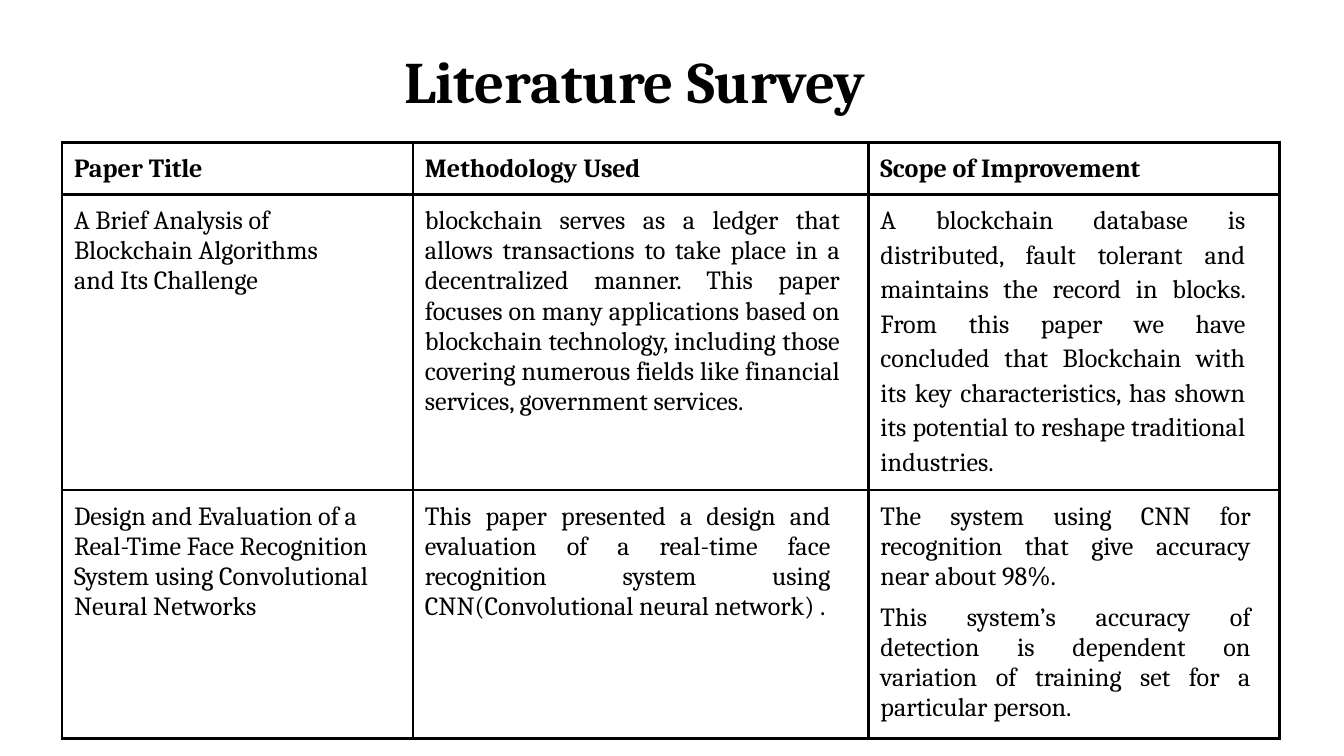
from lxml.etree import SubElement
from pptx import Presentation
from pptx.dml.color import RGBColor
from pptx.enum.text import MSO_ANCHOR, PP_ALIGN
from pptx.oxml.ns import qn
from pptx.util import Cm, Pt

BLACK = RGBColor(0, 0, 0)
WHITE = RGBColor(255, 255, 255)
FONT = "Cambria"

COLUMN_WIDTHS = [6.63, 8.61, 7.77]
ROW_HEIGHTS = [0.99, 5.33, 4.7]
CELL_INDENT = 0.23

HEADERS = [
    [("Paper ", 0), ("Title", -0.1)],
    [("Methodology ", 0), ("Used", -0.2)],
    [("Scope of ", 0), ("Improvement", -0.1)],
]
PAPERS = [
    [
        ["A Brief Analysis of Blockchain Algorithms and Its Challenge"],
        ["blockchain serves as a ledger that allows transactions to take place in a "
         "decentralized manner. This paper focuses on many applications based on "
         "blockchain technology, including those covering numerous fields like "
         "financial services, government services."],
        ["A blockchain database is distributed, fault tolerant and maintains the "
         "record in blocks. From this paper we have concluded that Blockchain with "
         "its key characteristics, has shown its potential to reshape traditional "
         "industries."],
    ],
    [
        ["Design and Evaluation of a Real-Time Face Recognition System using "
         "Convolutional Neural Networks"],
        ["This paper presented a design and evaluation of a real-time face "
         "recognition system using CNN(Convolutional neural network) ."],
        ["The system using CNN for recognition that give accuracy near about 98%.",
         "This system’s accuracy of detection is dependent on variation of training "
         "set for a particular person."],
    ],
]
RIGHT_INDENTS = [[1.3, 0.53, 0.64], [0.5, 0.71, 0.54]]


def write_text(paragraph, spans, size=14, bold=False, align=PP_ALIGN.LEFT,
               left=CELL_INDENT, right=0, before=6.2, line_spacing=None):
    paragraph.alignment = align
    paragraph.space_before = Pt(before)
    if line_spacing:
        paragraph.line_spacing = line_spacing
    properties = paragraph._p.get_or_add_pPr()
    properties.set("marL", str(Cm(left)))
    properties.set("marR", str(Cm(right)))
    properties.set("indent", "0")
    for text, spacing in spans:
        span = paragraph.add_run()
        span.text = text
        span.font.name = FONT
        span.font.size = Pt(size)
        span.font.bold = bold
        span.font.color.rgb = BLACK
        if spacing:
            span._r.get_or_add_rPr().set("spc", str(round(spacing * 100)))


def set_margins(holder, top):
    holder.margin_left = holder.margin_right = holder.margin_bottom = 0
    holder.margin_top = Cm(top)
    holder.vertical_anchor = MSO_ANCHOR.TOP


def add_title(page):
    box = page.shapes.add_textbox(Cm(2.03), Cm(0.28), Cm(21.34), Cm(1.93))
    frame = box.text_frame
    frame.word_wrap = True
    set_margins(frame, top=0.56)
    write_text(frame.paragraphs[0], [("Literature ", 0), ("Survey", -0.1)],
               size=31.5, bold=True, left=5.61, before=1)


def draw_borders(cell):
    properties = cell._tc.get_or_add_tcPr()
    for position, side in enumerate(("lnL", "lnR", "lnT", "lnB")):
        line = SubElement(properties, qn(f"a:{side}"), w=str(Pt(1.5)))
        fill = SubElement(line, qn("a:solidFill"))
        SubElement(fill, qn("a:srgbClr"), val=str(BLACK))
        properties.insert(position, line)


def style_cell(cell, top=0.22):
    set_margins(cell, top)
    cell.fill.solid()
    cell.fill.fore_color.rgb = WHITE
    draw_borders(cell)


def fill_paper_cell(cell, texts, column, right, loose):
    style_cell(cell, top=0.13 if loose else 0.22)
    frame = cell.text_frame
    for index, text in enumerate(texts):
        paragraph = frame.add_paragraph() if index else frame.paragraphs[0]
        write_text(paragraph, [(text, 0)], right=right,
                   align=PP_ALIGN.JUSTIFY if column else PP_ALIGN.LEFT,
                   before=3.6 if loose else 6.2,
                   line_spacing=1.15 if loose else None)


def add_survey_table(page):
    table = page.shapes.add_table(
        len(ROW_HEIGHTS), len(COLUMN_WIDTHS), Cm(1.17), Cm(2.69),
        Cm(sum(COLUMN_WIDTHS)), Cm(sum(ROW_HEIGHTS))).table
    table.first_row = table.horz_banding = False
    for column, width in zip(table.columns, COLUMN_WIDTHS):
        column.width = Cm(width)
    for row, height in zip(table.rows, ROW_HEIGHTS):
        row.height = Cm(height)
    for column, spans in enumerate(HEADERS):
        cell = table.cell(0, column)
        style_cell(cell)
        write_text(cell.text_frame.paragraphs[0], spans, bold=True)
    for row, (paper, indents) in enumerate(zip(PAPERS, RIGHT_INDENTS), start=1):
        for column, (texts, right) in enumerate(zip(paper, indents)):
            fill_paper_cell(table.cell(row, column), texts, column, right,
                            loose=(row, column) == (1, 2))


def main():
    deck = Presentation()
    deck.slide_width, deck.slide_height = Cm(25.4), Cm(14.29)
    page = deck.slides.add_slide(deck.slide_layouts[6])
    add_title(page)
    add_survey_table(page)
    deck.save("out.pptx")


if __name__ == "__main__":
    main()
